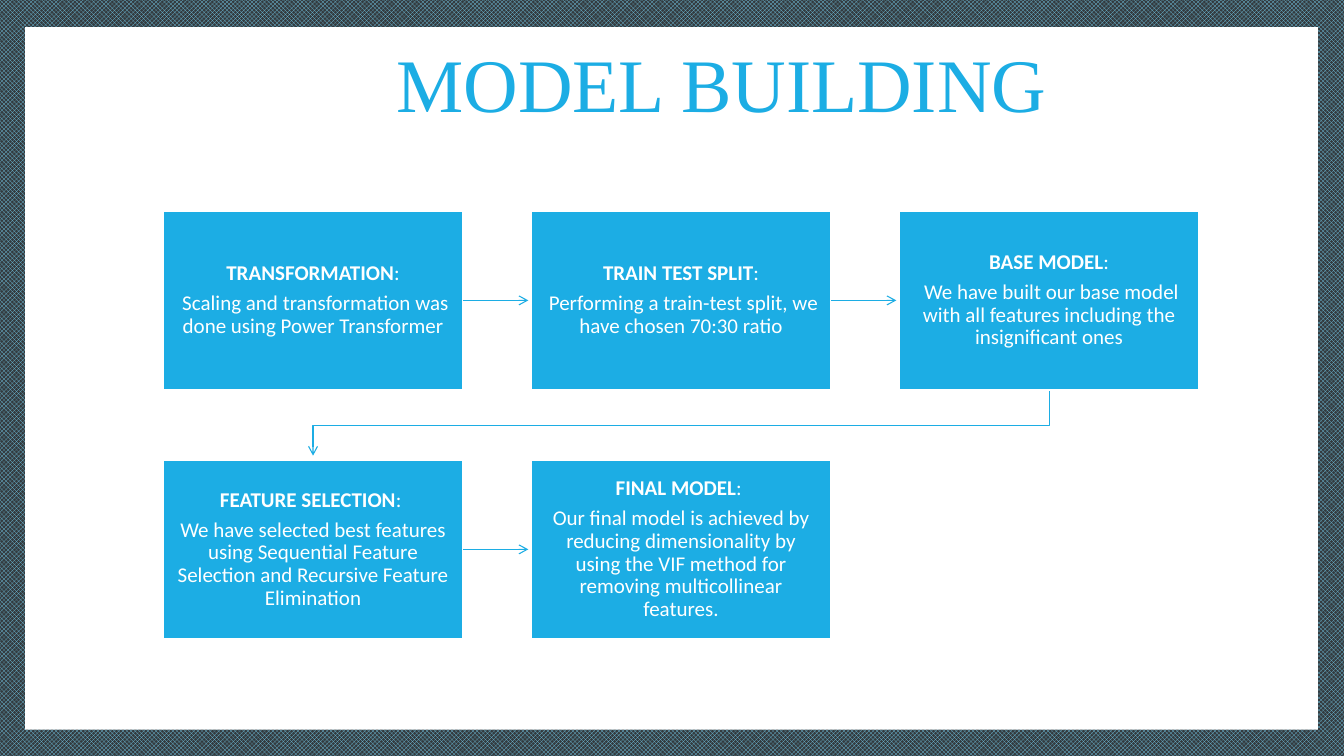
from pptx import Presentation
from pptx.dml.color import RGBColor
from pptx.enum.dml import MSO_PATTERN
from pptx.enum.shapes import MSO_CONNECTOR as Link, MSO_SHAPE as Preset
from pptx.enum.text import MSO_ANCHOR as Anchor, MSO_AUTO_SIZE as AutoSize, PP_ALIGN as Align
from pptx.oxml.ns import qn
from pptx.util import Inches, Pt
from lxml.etree import SubElement

BLUE, WHITE = "1CADE4", "FFFFFF"
LEFT, TOP, WIDTH, HEIGHT = 1.62, 2.09, 2.97, 1.78
STEP_X, STEP_Y, COLUMNS = 3.65, 2.47, 3
ARROW_LENGTH = 0.65

STEPS = [
    ("TRANSFORMATION", ":", " Scaling and transformation was done using Power Transformer"),
    ("TRAIN TEST SPLIT", ":", " Performing a train-test split, we have chosen 70:30 ratio"),
    ("BASE MODEL", ":", " We have built our base model with all features including the insignificant ones"),
    ("FEATURE SELECTION", ": ", "We have selected best features using Sequential Feature Selection "
     "and Recursive Feature Elimination"),
    ("FINAL MODEL", ": ", "Our final model is achieved by reducing dimensionality by using the VIF method "
     "for removing multicollinear features."),
]


def color(value):
    return RGBColor.from_string(value)


def apply(target, values):
    for name, value in values.items():
        setattr(target, name, value)


class FlowSlide:
    title_font = {"name": "Times New Roman", "size": Pt(54), "bold": False}
    step_font = {"name": "Calibri", "size": Pt(15)}
    step_paragraph = {"alignment": Align.CENTER, "line_spacing": 0.9, "space_after": Pt(5.25)}
    step_frame = {"word_wrap": True, "vertical_anchor": Anchor.MIDDLE,
                  **{f"margin_{side}": Inches(0.12) for side in ("left", "top", "right", "bottom")}}
    title_frame = {"word_wrap": True, "vertical_anchor": Anchor.TOP,
                   "auto_size": AutoSize.SHAPE_TO_FIT_TEXT}

    def __init__(self, deck):
        self.slide = deck.slides.add_slide(deck.slide_layouts[5])
        self.shapes = self.slide.shapes

    def background(self, pattern, fore, back):
        fill = self.slide.background.fill
        fill.patterned()
        fill.pattern = pattern
        fill.fore_color.rgb = color(fore)
        fill.back_color.rgb = color(back)

    def box(self, left, top, width, height, fill, outline=None):
        box = self.shapes.add_shape(Preset.RECTANGLE, *map(Inches, (left, top, width, height)))
        box.shadow.inherit = False
        box.fill.solid()
        box.fill.fore_color.rgb = color(fill)
        if outline:
            box.line.color.rgb = color(outline)
            box.line.width = Pt(1.5)
        else:
            box.line.fill.background()
        return box

    def panel(self, *place):
        panel = self.box(*place, WHITE)
        self.shapes.element.insert(2, panel.element)

    def run(self, paragraph, text, font, shade, **extra):
        run = paragraph.add_run()
        run.text = text
        apply(run.font, {**font, **extra})
        run.font.color.rgb = color(shade)

    def title(self, text, left, top, width, height):
        title = self.shapes.title
        apply(title, {"left": Inches(left), "top": Inches(top),
                      "width": Inches(width), "height": Inches(height)})
        apply(title.text_frame, self.title_frame)
        heading = title.text_frame.paragraphs[0]
        heading.alignment = Align.CENTER
        self.run(heading, text, self.title_font, BLUE)

    def step(self, left, top, name, colon, detail):
        step = self.box(left, top, WIDTH, HEIGHT, BLUE, WHITE)
        frame = step.text_frame
        apply(frame, self.step_frame)
        heading, body = frame.paragraphs[0], frame.add_paragraph()
        for paragraph in (heading, body):
            apply(paragraph, self.step_paragraph)
        self.run(heading, name, self.step_font, WHITE, bold=True)
        self.run(heading, colon, self.step_font, WHITE, bold=False)
        self.run(body, detail, self.step_font, WHITE, bold=False)
        return step

    def arrow_line(self, line):
        line.color.rgb = color(BLUE)
        line.width = Pt(0.79)
        SubElement(line._get_or_add_ln(), qn("a:tailEnd"), type="arrow")

    def arrow(self, step, length):
        start = step.left + step.width
        middle = step.top + step.height // 2
        arrow = self.shapes.add_connector(Link.STRAIGHT, start, middle, start + Inches(length), middle)
        arrow.begin_connect(step, 3)
        self.arrow_line(arrow.line)
        SubElement(arrow.element.spPr, qn("a:effectLst"))

    def bent_arrow(self, points):
        start, *rest = [(Inches(x), Inches(y)) for x, y in points]
        builder = self.shapes.build_freeform(*start)
        builder.add_line_segments(rest, close=False)
        bend = builder.convert_to_shape()
        bend.shadow.inherit = False
        bend.fill.background()
        self.arrow_line(bend.line)


def main():
    deck = Presentation()
    apply(deck, {"slide_width": Inches(13.33), "slide_height": Inches(7.5)})
    flow = FlowSlide(deck)
    flow.background(MSO_PATTERN.TRELLIS, "77CEEF", "333A3E")
    flow.panel(0.25, 0.27, 12.82, 6.97)
    flow.title("MODEL BUILDING", 2.55, 0.32, 9.21, 1.01)

    first_center = LEFT + WIDTH / 2
    last_center = first_center + (COLUMNS - 1) * STEP_X
    row_end = TOP + HEIGHT
    flow.bent_arrow([(last_center, row_end), (last_center, row_end + 0.35),
                     (first_center, row_end + 0.35), (first_center, row_end + ARROW_LENGTH)])

    for index, texts in enumerate(STEPS):
        row, column = divmod(index, COLUMNS)
        step = flow.step(LEFT + column * STEP_X, TOP + row * STEP_Y, *texts)
        if column < COLUMNS - 1 and index < len(STEPS) - 1:
            flow.arrow(step, ARROW_LENGTH)

    deck.save("out.pptx")


if __name__ == "__main__":
    main()
